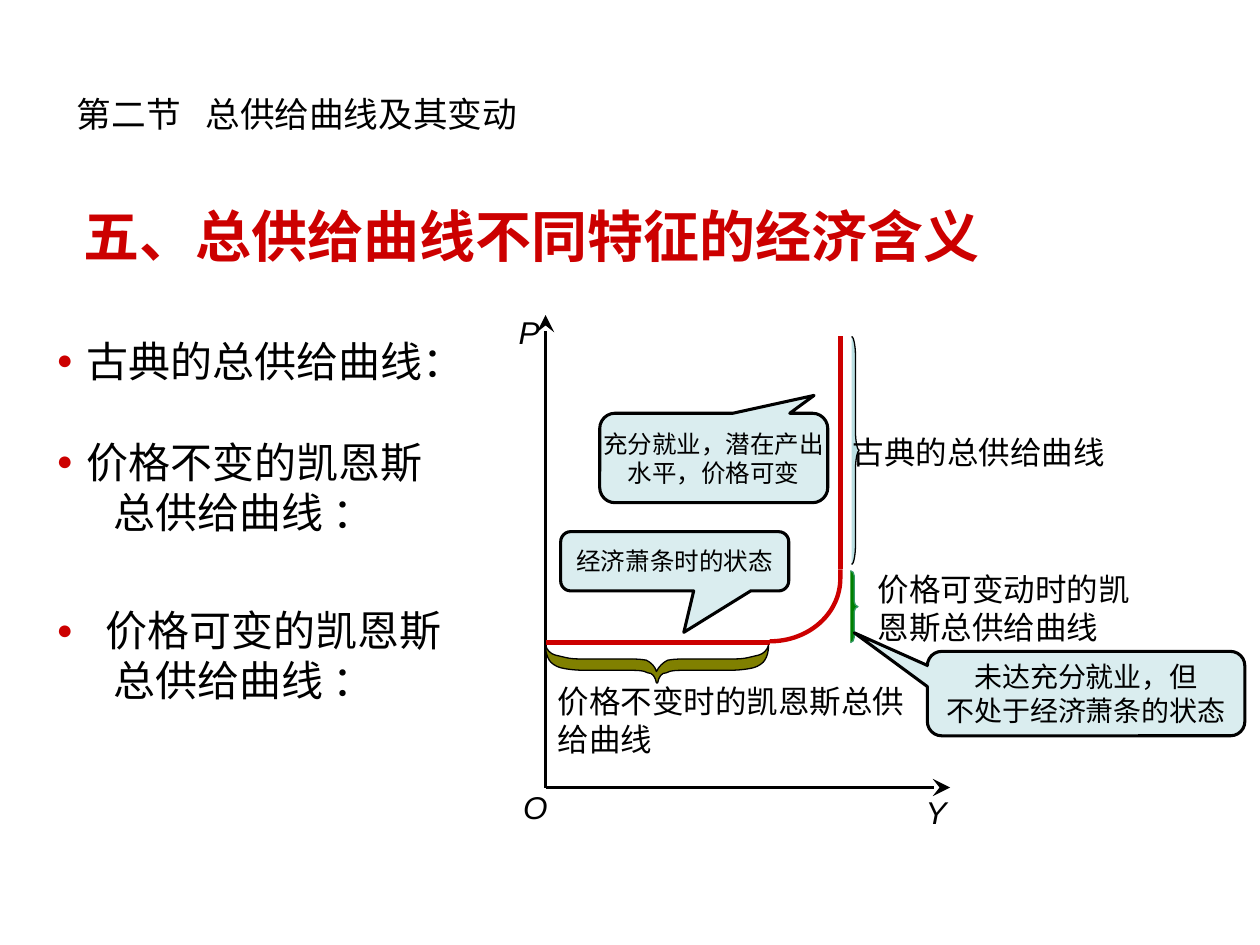
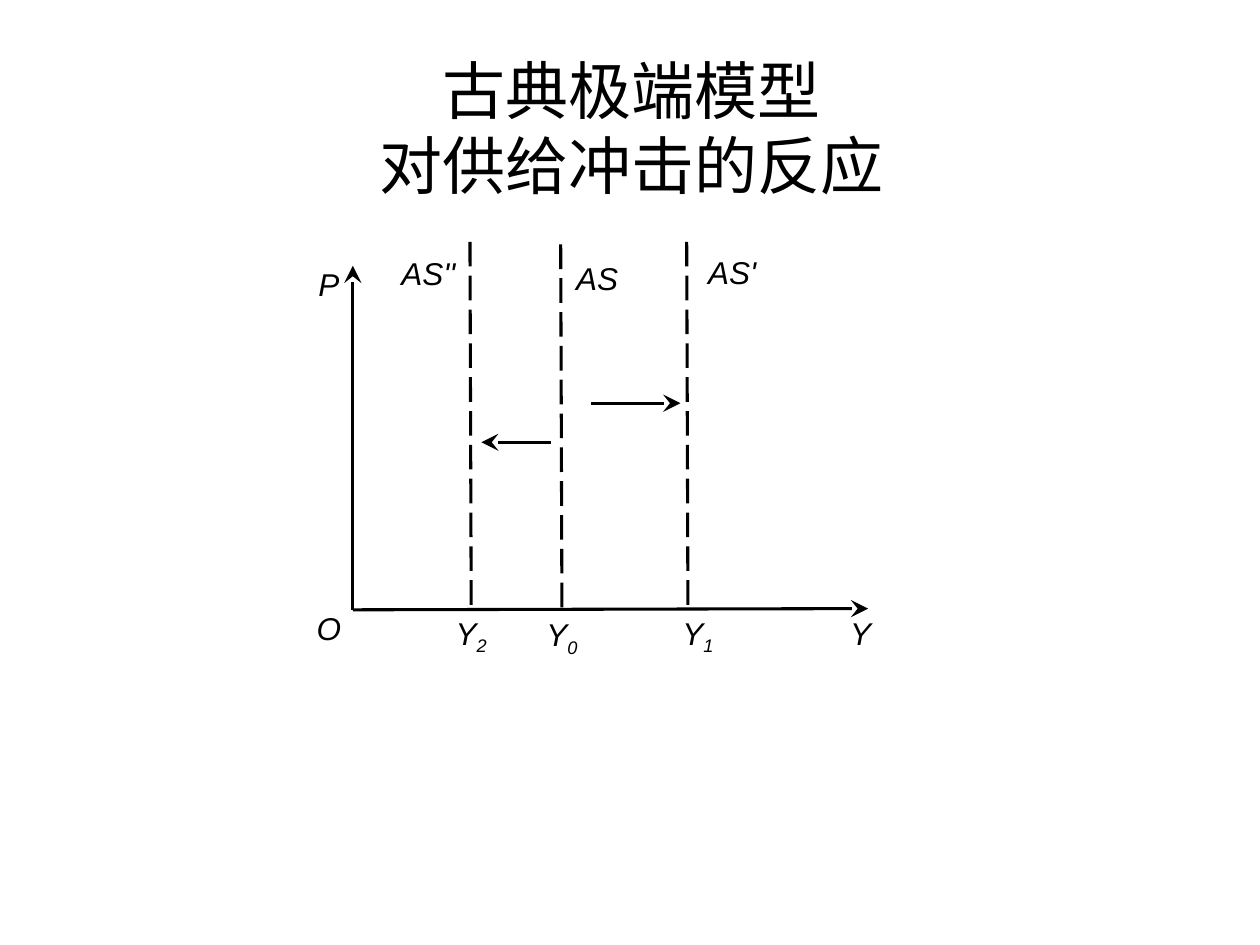
from lxml import etree
from pptx import Presentation
from pptx.dml.color import RGBColor
from pptx.enum.dml import MSO_LINE
from pptx.enum.shapes import MSO_CONNECTOR, MSO_SHAPE
from pptx.enum.text import MSO_ANCHOR, MSO_AUTO_SIZE, PP_ALIGN
from pptx.oxml.ns import qn
from pptx.util import Inches, Pt

STRAIGHT = MSO_CONNECTOR.STRAIGHT
ROUNDED, CALLOUT = MSO_SHAPE.ROUNDED_RECTANGLE, MSO_SHAPE.ROUNDED_RECTANGULAR_CALLOUT
LEFT, CENTER = PP_ALIGN.LEFT, PP_ALIGN.CENTER
TOP, MIDDLE = MSO_ANCHOR.TOP, MSO_ANCHOR.MIDDLE
LONG_DASH = MSO_LINE.LONG_DASH
NO_FIT = MSO_AUTO_SIZE.NONE

COLORS = {"ink": "000000", "red": "CC0000", "olive": "808000", "green": "008000",
          "edge": "339966", "pale": "BBE0E3", "callout": "DAEDEF"}
LATIN, CHINESE = "Arial", "Noto Sans CJK SC"
LINE_RATIO = 1.19
THIN, AXIS, CURVE = 0.75, 1.75, 2.5

SECTION = "第二节\t总供给曲线及其变动"
SECTION_TAB = 1.02
OUTLINE = [
    ("五、总供给曲线不同特征的经济含义", 32, "red", True, False, 0.21, 0),
    ("古典的总供给曲线：", 24, "ink", False, True, 0.24, 38.5),
    ("价格不变的凯恩斯", 24, "ink", False, True, 0.24, 29),
    ("总供给曲线 ：", 24, "ink", False, False, 0.45, 0),
    ("价格可变的凯恩斯", 24, "ink", False, True, 0.39, 39),
    ("总供给曲线 ：", 24, "ink", False, False, 0.45, 0),
]
SUPPLY_AXES = [((4.33, 6.25), (7.54, 6.25)), ((4.33, 6.25), (4.33, 2.5))]
SUPPLY_LINES = [((4.33, 5.1), (6.11, 5.1), "red", CURVE),
                ((8.55, 5.27), (8.54, 5.27), "ink", THIN),
                ((6.67, 4.52), (6.67, 2.67), "red", CURVE)]
SUPPLY_BEND = [[(6.11, 5.09)],
               [(6.42, 5.09), (6.67, 4.87), (6.67, 4.59)],
               [(6.67, 4.57), (6.67, 4.54), (6.67, 4.52)]]
SUPPLY_LABELS = [("O", "", (3.87, 6.26, 0.76, 0.29)), ("Y", "", (7.05, 6.3, 0.76, 0.29)),
                 ("P", "", (3.82, 2.49, 0.76, 0.29))]
BRACES = [((6.75, 4.53, 0.06, 0.57), 0.04, "green", "edge"),
          ((6.76, 2.67, 0.06, 1.81), 0.15, "pale", "ink")]
BAND_CENTER = 5.215
BAND_HALF = [
    [(5.21, 5.42)],
    [(5.2, 5.37), (5.18, 5.34), (5.14, 5.34)],
    [(5.11, 5.32), (5.05, 5.32), (4.97, 5.32)],
    [(4.64, 5.32)],
    [(4.56, 5.32), (4.49, 5.31), (4.45, 5.3)],
    [(4.41, 5.29), (4.37, 5.26), (4.36, 5.24)],
    [(4.34, 5.21), (4.33, 5.17), (4.33, 5.12)],
    [(4.34, 5.16), (4.37, 5.19), (4.41, 5.2)],
    [(4.46, 5.21), (4.51, 5.23), (4.59, 5.23)],
    [(4.93, 5.23)],
    [(5.02, 5.23), (5.08, 5.23), (5.13, 5.24)],
    [(5.17, 5.26), (5.2, 5.29), (5.21, 5.33)],
]
RANGE_NOTES = [
    (["价格不变时的凯恩斯总供给曲线"], (4.33, 5.37, 3.12, 0.7), True),
    (["价格可变动时的凯", "恩斯总供给曲线"], (6.87, 4.48, 2.2, 0.7), False),
    (["古典的总供给曲线"], (6.67, 3.39, 2.2, 0.4), False),
]
CALLOUTS = [
    (["充分就业，潜在产出", "水平，价格可变"], 14, (4.76, 3.28, 1.81, 0.71), (0.44, -0.7)),
    (["经济萧条时的状态"], 14, (4.45, 4.22, 1.81, 0.47), (0.04, 1.2)),
    (["未达充分就业，但", "不处于经济萧条的状态"], 16, (7.36, 5.17, 2.52, 0.67), (-0.73, -0.72)),
]

SHOCK_TITLE = ["古典极端模型", "对供给冲击的反应"]
SHOCK_ARROWS = [((2.8, 4.84), (6.89, 4.83)), ((2.8, 4.84), (2.8, 2.11)),
                ((4.69, 3.2), (5.4, 3.2)), ((4.37, 3.51), (3.82, 3.51))]
SHOCK_CURVES = [(3.73, 1.92), (4.45, 1.94), (5.45, 1.92)]
CURVE_HEIGHT, CURVE_LEAN = 2.91, 0.01
SHOCK_LABELS = [
    ("AS", "", (4.53, 1.78, 0.42, 0.85)), ("AS'", "", (5.6, 1.97, 0.42, 0.38)),
    ("AS''", "", (3.19, 1.98, 0.42, 0.38)), ("P", "", (2.4, 2.06, 0.42, 0.38)),
    ("O", "", (2.4, 4.79, 0.42, 0.38)), ("Y", "", (6.62, 4.83, 0.42, 0.38)),
    ("Y", "2", (3.47, 4.92, 0.54, 0.24)), ("Y", "0", (4.25, 4.86, 0.42, 0.38)),
    ("Y", "1", (5.33, 4.85, 0.42, 0.38)),
]


def color(name):
    return RGBColor.from_string(COLORS[name])


def child(parent, tag, **attributes):
    return etree.SubElement(parent, qn(tag), attributes)


def place(box, area):
    for name, value in zip(("left", "top", "width", "height"), area):
        setattr(box, name, Inches(value))


def frame_of(box, anchor=MIDDLE, wrap=True):
    frame = box.text_frame
    values = {"auto_size": NO_FIT, "word_wrap": wrap, "vertical_anchor": anchor,
              "margin_top": Inches(0.05), "margin_bottom": Inches(0.05),
              "margin_left": Inches(0.1), "margin_right": Inches(0.1)}
    for name, value in values.items():
        setattr(frame, name, value)
    return frame


def add_span(para, text, size, ink="ink", bold=False, italic=False, latin=LATIN):
    span = para.add_run()
    span.text = text
    span.font.color.rgb = color(ink)
    for name, value in {"size": Pt(size), "bold": bold, "italic": italic, "name": latin}.items():
        setattr(span.font, name, value)
    child(span.font._element, "a:ea", typeface=CHINESE)
    return span


def set_para(para, size, align=LEFT, before=0):
    values = {"alignment": align, "line_spacing": Pt(round(size * LINE_RATIO, 1)),
              "space_before": Pt(before), "space_after": Pt(0)}
    for name, value in values.items():
        setattr(para, name, value)


def paragraphs(frame, items):
    for index, item in enumerate(items):
        yield (frame.add_paragraph() if index else frame.paragraphs[0]), item


def write_lines(frame, lines, size, align):
    for para, text in paragraphs(frame, lines):
        set_para(para, size, align)
        add_span(para, text, size)


def paint(box, fill, line, width):
    box.shadow.inherit = False
    if fill:
        box.fill.solid()
        box.fill.fore_color.rgb = color(fill)
    else:
        box.fill.background()
    if line:
        box.line.color.rgb = color(line)
        box.line.width = Pt(width)
    else:
        box.line.fill.background()


def add_preset(page, preset, area, fill=None, line=None, width=THIN, adjust=()):
    box = page.shapes.add_shape(preset, *map(Inches, area))
    paint(box, fill, line, width)
    for index, value in enumerate(adjust):
        box.adjustments[index] = value
    return box


def add_line(page, start, end, ink="ink", width=AXIS, arrow=False, dash=None):
    line = page.shapes.add_connector(STRAIGHT, *map(Inches, start + end))
    line.line.color.rgb = color(ink)
    line.line.width = Pt(width)
    if dash:
        line.line.dash_style = dash
    if arrow:
        child(line.line._get_or_add_ln(), "a:tailEnd", type="stealth", w="lg", len="lg")
    child(line._element.spPr, "a:effectLst")


def add_outline(page, segments, close, fill, line, width):
    points = [(Inches(x), Inches(y)) for segment in segments for x, y in segment]
    builder = page.shapes.build_freeform(*points[0], scale=1.0)
    builder.add_line_segments(points[1:], close=close)
    box = builder.convert_to_shape()
    steps = iter(list(box._element.iter(qn("a:lnTo"))))
    for segment in segments[1:]:
        parts = [next(steps) for _ in segment]
        if len(parts) == 3:
            parts[0].addprevious(etree.Element(qn("a:cubicBezTo")))
            bend = parts[0].getprevious()
            for part in parts:
                bend.append(part[0])
                part.getparent().remove(part)
    paint(box, fill, line, width)


def mirrored(segments, center):
    points = [(2 * center - x, y) for segment in segments for x, y in segment]
    points.reverse()
    result, position = [], 1
    for segment in reversed(segments[1:]):
        result.append(points[position:position + len(segment)])
        position += len(segment)
    return result


def brace_segments(area, curl):
    left, top, width, height = area
    stem, tip = left + width / 2, left + width
    middle, bottom = top + height / 2, top + height
    half = curl / 2
    return [
        [(left, top)],
        [(left + width / 4, top), (stem, top + half), (stem, top + curl)],
        [(stem, middle - curl)],
        [(stem, middle - half), (tip - width / 4, middle), (tip, middle)],
        [(tip - width / 4, middle), (stem, middle + half), (stem, middle + curl)],
        [(stem, bottom - curl)],
        [(stem, bottom - half), (left + width / 4, bottom), (left, bottom)],
    ]


def add_labels(page, labels):
    for text, subscript, area in labels:
        frame = frame_of(add_preset(page, ROUNDED, area), wrap=False)
        para = frame.paragraphs[0]
        para.alignment = CENTER
        add_span(para, text, 18, italic=True)
        if subscript:
            span = add_span(para, subscript, 18, italic=True)
            span.font._element.set("baseline", "-25000")


def write_outline(frame):
    for para, (text, size, ink, bold, bullet, indent, before) in paragraphs(frame, OUTLINE):
        props = para._p.get_or_add_pPr()
        props.set("marL", str(Inches(indent)))
        props.set("indent", str(-Inches(indent) if bullet else 0))
        if bullet:
            child(child(props, "a:buClr"), "a:srgbClr", val=COLORS["red"])
            child(props, "a:buSzPct", val="65000")
            child(props, "a:buFont", typeface=LATIN)
            child(props, "a:buChar", char="●")
        else:
            child(props, "a:buNone")
        set_para(para, size, LEFT, before)
        add_span(para, text, size, ink, bold)


def build_supply(deck):
    page = deck.slides.add_slide(deck.slide_layouts[1])
    title, body = page.shapes.title, page.placeholders[1]
    place(title, (0.51, 0.34, 9, 1.12))
    para = frame_of(title).paragraphs[0]
    tabs = child(para._p.get_or_add_pPr(), "a:tabLst")
    child(tabs, "a:tab", pos=str(Inches(SECTION_TAB)), algn="l")
    set_para(para, 19.8)
    add_span(para, SECTION, 19.8, latin=CHINESE)
    place(body, (0.35, 1.55, 9.53, 4.64))
    write_outline(frame_of(body, TOP))

    for start, end in SUPPLY_AXES:
        add_line(page, start, end, arrow=True)
    for start, end, ink, width in SUPPLY_LINES:
        add_line(page, start, end, ink, width)
    add_outline(page, SUPPLY_BEND, False, None, "red", CURVE)
    add_labels(page, SUPPLY_LABELS)

    band = BAND_HALF + mirrored(BAND_HALF, BAND_CENTER)
    add_outline(page, band, True, "olive", "ink", THIN)
    for area, curl, fill, line in BRACES:
        add_outline(page, brace_segments(area, curl), False, fill, line, THIN)
    for lines, area, wrap in RANGE_NOTES:
        box = page.shapes.add_textbox(*map(Inches, area))
        write_lines(frame_of(box, TOP, wrap), lines, 18, LEFT)
    for lines, size, area, tip in CALLOUTS:
        box = add_preset(page, CALLOUT, area, "callout", "ink", AXIS, (*tip, 0.17))
        write_lines(frame_of(box, wrap=False), lines, size, CENTER)


def build_shock(deck):
    page = deck.slides.add_slide(deck.slide_layouts[5])
    title = page.shapes.title
    place(title, (0.51, 0.36, 9, 1.3))
    write_lines(frame_of(title), SHOCK_TITLE, 36, CENTER)
    for start, end in SHOCK_ARROWS:
        add_line(page, start, end, arrow=True)
    for x, y in SHOCK_CURVES:
        add_line(page, (x, y), (x + CURVE_LEAN, y + CURVE_HEIGHT), dash=LONG_DASH)
    add_labels(page, SHOCK_LABELS)


def main():
    deck = Presentation()
    deck.slide_width, deck.slide_height = Inches(10), Inches(7.5)
    build_supply(deck)
    build_shock(deck)
    deck.save("out.pptx")


if __name__ == "__main__":
    main()
